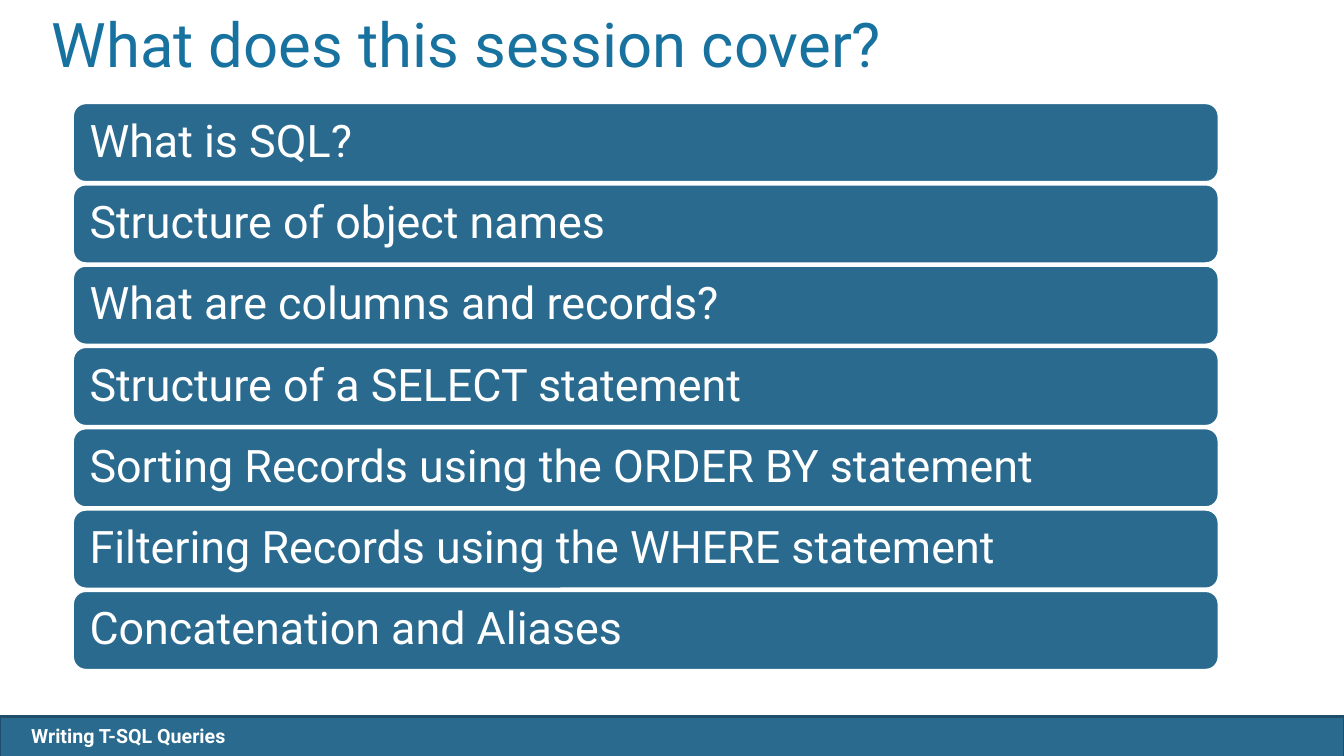
from dataclasses import dataclass

from pptx import Presentation
from pptx.dml.color import RGBColor
from pptx.enum.shapes import MSO_SHAPE
from pptx.enum.text import MSO_ANCHOR, MSO_AUTO_SIZE, PP_ALIGN
from pptx.util import Inches, Pt

RECTANGLE, ROUNDED = MSO_SHAPE.RECTANGLE, MSO_SHAPE.ROUNDED_RECTANGLE
TOP, MIDDLE = MSO_ANCHOR.TOP, MSO_ANCHOR.MIDDLE
LEFT = PP_ALIGN.LEFT
NO_AUTOFIT = MSO_AUTO_SIZE.NONE

SLIDE_WIDTH, SLIDE_HEIGHT = Inches(13.33), Inches(7.5)
TITLE_ONLY = 5
COLORS = {"bar": "296A8E", "edge": "1E4E69", "title": "1872A0", "white": "FFFFFF"}
TOPICS = (
    "What is SQL?",
    "Structure of object names",
    "What are columns and records?",
    "Structure of a SELECT statement",
    "Sorting Records using the ORDER BY statement",
    "Filtering Records using the WHERE statement",
    "Concatenation and Aliases",
)


@dataclass(frozen=True)
class Area:
    """Position and size in percent of the slide."""
    left: float
    top: float
    width: float
    height: float

    def emu(self) -> tuple[int, int, int, int]:
        return (int(SLIDE_WIDTH * self.left / 100), int(SLIDE_HEIGHT * self.top / 100),
                int(SLIDE_WIDTH * self.width / 100), int(SLIDE_HEIGHT * self.height / 100))


@dataclass(frozen=True)
class TextStyle:
    size: float
    color: str
    anchor: MSO_ANCHOR
    spacing: float
    margin: float = 0.1
    bold: bool = False


TITLE_AREA = Area(3.08, 3.47, 90, 16.67)
FIRST_TOPIC = Area(5.4, 13.6, 85.3, 10.53)
LAST_TOPIC_TOP = 78.13
FOOTER_BAR = Area(0, 94.8, 100, 5.33)
FOOTER_LABEL = Area(1.58, 95.07, 45.46, 4.53)

TITLE_STYLE = TextStyle(44, "title", TOP, Pt(35))
TOPIC_STYLE = TextStyle(32, "white", MIDDLE, 0.9, margin=0.13)
FOOTER_STYLE = TextStyle(14, "white", MIDDLE, 1.0, bold=True)


def rgb(name: str) -> RGBColor:
    return RGBColor.from_string(COLORS[name])


def write(shape, text: str, style: TextStyle) -> None:
    frame = shape.text_frame
    frame.text = text
    paragraph = frame.paragraphs[0]
    font = paragraph.runs[0].font
    font.color.rgb = rgb(style.color)
    side = Inches(style.margin)
    edge = side if style is TOPIC_STYLE else Inches(0.05)
    formats = (
        (frame, {"word_wrap": True, "auto_size": NO_AUTOFIT,
                 "vertical_anchor": style.anchor,
                 "margin_left": side, "margin_right": side,
                 "margin_top": edge, "margin_bottom": edge}),
        (paragraph, {"alignment": LEFT, "line_spacing": style.spacing}),
        (font, {"name": "Roboto", "size": Pt(style.size), "bold": style.bold}),
    )
    for target, values in formats:
        for attribute, value in values.items():
            setattr(target, attribute, value)


def add_bar(slide, preset: MSO_SHAPE, area: Area, outline: str):
    bar = slide.shapes.add_shape(preset, *area.emu())
    bar.shadow.inherit = False
    bar.fill.solid()
    bar.fill.fore_color.rgb = rgb("bar")
    bar.line.color.rgb = rgb(outline)
    bar.line.width = Pt(2)
    return bar


def add_title(slide) -> None:
    title = slide.shapes.title
    title.left, title.top, title.width, title.height = TITLE_AREA.emu()
    write(title, "What does this session cover?", TITLE_STYLE)


def add_topics(slide) -> None:
    pitch = (LAST_TOPIC_TOP - FIRST_TOPIC.top) / (len(TOPICS) - 1)
    for row, topic in enumerate(TOPICS):
        area = Area(FIRST_TOPIC.left, FIRST_TOPIC.top + row * pitch,
                    FIRST_TOPIC.width, FIRST_TOPIC.height)
        write(add_bar(slide, ROUNDED, area, "white"), topic, TOPIC_STYLE)


def add_footer(slide) -> None:
    add_bar(slide, RECTANGLE, FOOTER_BAR, "edge")
    course_name = slide.shapes.add_textbox(*FOOTER_LABEL.emu())
    write(course_name, "Writing T-SQL Queries", FOOTER_STYLE)


def main() -> None:
    deck = Presentation()
    deck.slide_width, deck.slide_height = SLIDE_WIDTH, SLIDE_HEIGHT
    slide = deck.slides.add_slide(deck.slide_layouts[TITLE_ONLY])
    add_footer(slide)
    add_title(slide)
    add_topics(slide)
    deck.save("out.pptx")


if __name__ == "__main__":
    main()
